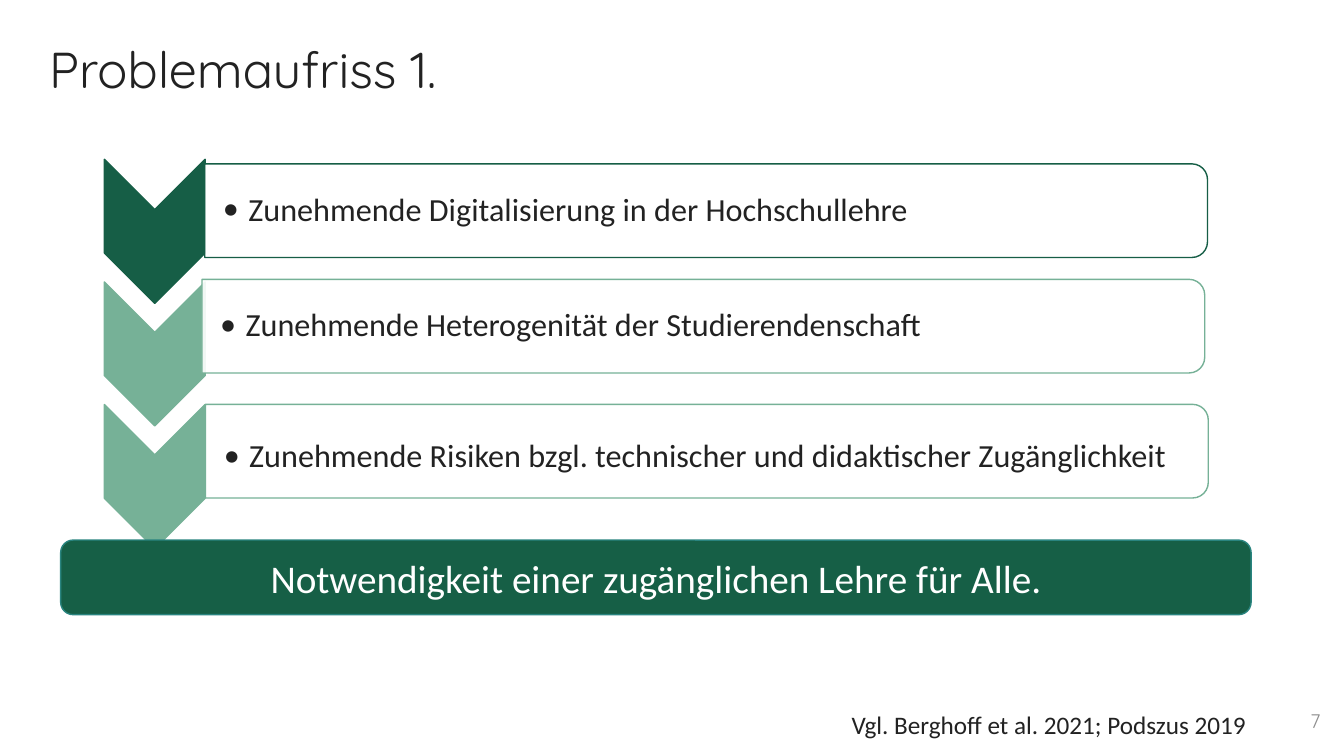
from lxml import etree
from pptx import Presentation
from pptx.dml.color import RGBColor
from pptx.enum.shapes import MSO_SHAPE
from pptx.enum.text import MSO_ANCHOR, PP_ALIGN
from pptx.oxml.ns import qn
from pptx.util import Cm, Pt

CHEVRON, TAB, ROUND = (MSO_SHAPE.CHEVRON, MSO_SHAPE.ROUND_2_SAME_RECTANGLE,
                       MSO_SHAPE.ROUNDED_RECTANGLE)
TOP, MIDDLE = MSO_ANCHOR.TOP, MSO_ANCHOR.MIDDLE
LEFT, CENTER, RIGHT = PP_ALIGN.LEFT, PP_ALIGN.CENTER, PP_ALIGN.RIGHT
DARK, LIGHT, INK, WHITE = "165E46", "76B197", "222222", "FFFFFF"

# text, colour, left edge and middle of the bar in cm, line spacing
STEPS = [
    ("Zunehmende Digitalisierung in der Hochschullehre", DARK, 5.16, 5.31, 0.9),
    ("Zunehmende Heterogenität der Studierendenschaft", LIGHT, 5.09, 8.22, 0.9),
    ("Zunehmende Risiken bzgl. technischer und didaktischer Zugänglichkeit",
     LIGHT, 5.18, 11.37, 1.2),
]
RESULT = "Notwendigkeit einer zugänglichen Lehre für Alle."
# text, box in cm, alignment, anchor, line spacing, font, colour
LABELS = [
    ("Problemaufriss 1.", (0.99, 1.02, 31.9, 1.88), LEFT, TOP, 0.9,
     {"name": "Quicksand", "size": Pt(36)}, INK),
    ("Vgl. Berghoff et al. 2021; Podszus 2019", (21.21, 17.75, 11.18, 1.02),
     LEFT, TOP, 1.0, {"name": "Calibri", "size": Pt(18)}, INK),
    ("7", (25.91, 17.65, 7.62, 1.02), RIGHT, MIDDLE, 1.0,
     {"name": "Quicksand", "size": Pt(14)}, "8D8D8D"),
]
ARROW_X, ARROW_Y, PITCH = 3.9, 5.83, 3.09
ARROW_LEN, ARROW_WIDE = 3.63, 2.54
BAR_LEN, BAR_HIGH = 25.27, 2.36
TEXT_WIDE, TEXT_HIGH = 25.15, 2.13


def paint(fill, color):
    """Set a solid colour on a fill."""
    fill.solid()
    fill.fore_color.rgb = RGBColor.from_string(color)


def write(shape, text, font, color, align=LEFT, anchor=MIDDLE, spacing=1.0):
    frame = shape.text_frame
    frame.word_wrap, frame.vertical_anchor = True, anchor
    para = frame.paragraphs[0]
    para.alignment, para.line_spacing = align, spacing
    run = para.add_run()
    run.text = text
    for key, value in font.items():
        setattr(run.font, key, value)
    paint(run.font.fill, color)
    return para


def draw(slide, kind, box, fill, line, adjust, turn=0):
    shape = slide.shapes.add_shape(kind, *map(Cm, box))
    shape.shadow.inherit = False
    shape.rotation = turn
    for i, value in enumerate(adjust):
        shape.adjustments[i] = value
    paint(shape.fill, fill)
    paint(shape.line.fill, line)
    shape.line.width = Pt(1)
    return shape


def around(x, y, wide, high):
    """Box with its centre at x, y."""
    return x - wide / 2, y - high / 2, wide, high


def bullet(para):
    props = para._p.get_or_add_pPr()
    props.set("marL", str(Cm(0.64)))
    props.set("indent", str(-Cm(0.64)))
    etree.SubElement(props, qn("a:buFont")).set("typeface", "Calibri")
    etree.SubElement(props, qn("a:buChar")).set("char", "•")


def step(slide, index, text, color, left, mid, spacing):
    draw(slide, CHEVRON,
         around(ARROW_X, ARROW_Y + index * PITCH, ARROW_LEN, ARROW_WIDE),
         color, color, [0.5], 90)
    bar = draw(slide, TAB, around(left + BAR_LEN / 2, mid, BAR_HIGH, BAR_LEN),
               WHITE, color, [0.167, 0], 90)
    tint = bar.fill._xPr.find(qn("a:solidFill"))[0]
    etree.SubElement(tint, qn("a:alpha")).set("val", "90000")
    box = slide.shapes.add_textbox(
        *map(Cm, (left, mid - TEXT_HIGH / 2, TEXT_WIDE, TEXT_HIGH)))
    insets = {"margin_left": 0.46, "margin_top": 0.05,
              "margin_right": 0.05, "margin_bottom": 0.05}
    for key, value in insets.items():
        setattr(box.text_frame, key, Cm(value))
    bullet(write(box, text, {"name": "Calibri", "size": Pt(23)}, INK,
                 spacing=spacing))


def main():
    deck = Presentation()
    deck.slide_width, deck.slide_height = Cm(33.87), Cm(19.05)
    slide = deck.slides.add_slide(deck.slide_layouts[6])
    for text, box, align, anchor, spacing, font, color in LABELS:
        shape = slide.shapes.add_textbox(*map(Cm, box))
        write(shape, text, font, color, align, anchor, spacing)
    for index, row in enumerate(STEPS):
        step(slide, index, *row)
    result = draw(slide, ROUND, (1.53, 13.61, 30, 1.88), "165F46", "29847F",
                  [0.167])
    write(result, RESULT, {"name": "Calibri", "size": Pt(28)}, WHITE, CENTER)
    deck.save("out.pptx")


if __name__ == "__main__":
    main()
